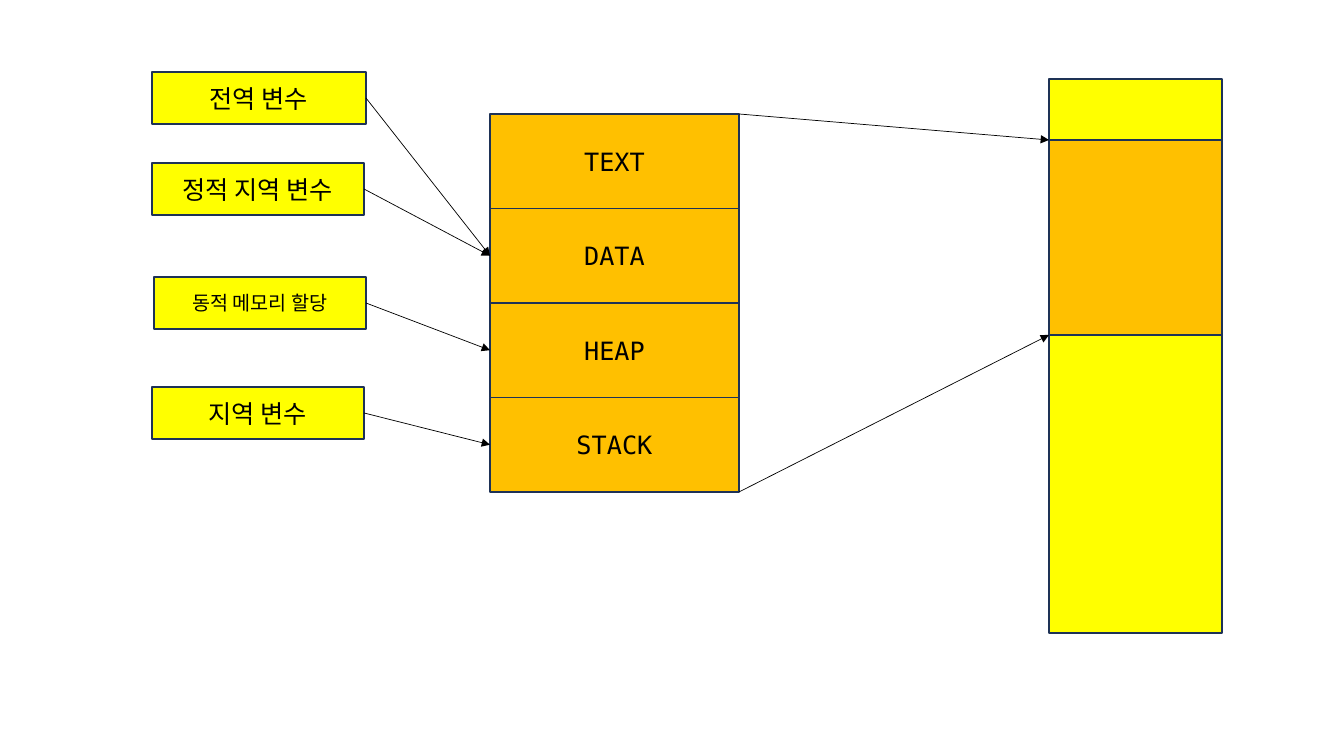
from lxml import etree
from pptx import Presentation, util as u
from pptx.dml.color import RGBColor
from pptx.enum import shapes, text
from pptx.oxml.ns import qn

PX = 914400 / 100.8
YELLOW, ORANGE, NAVY, BLACK = "FFFF00", "FFC000", "1E3256", "000000"

deck = Presentation()
deck.slide_width, deck.slide_height = u.Emu(round(1344 * PX)), u.Emu(round(756 * PX))
slide = deck.slides.add_slide(deck.slide_layouts[6])


def box(words, area, fill, size=18):
    """Draw an outlined box, with centred words if there are any."""
    shape = slide.shapes.add_shape(
        shapes.MSO_SHAPE.RECTANGLE, *[round(n * PX) for n in area])
    shape.shadow.inherit = False
    shape.fill.solid()
    shape.fill.fore_color.rgb = RGBColor.from_string(fill)
    shape.line.color.rgb = RGBColor.from_string(NAVY)
    shape.line.width = u.Pt(1)
    if words:
        frame = shape.text_frame
        frame.word_wrap = True
        frame.vertical_anchor = text.MSO_ANCHOR.MIDDLE
        para = frame.paragraphs[0]
        para.alignment = text.PP_ALIGN.CENTER
        run = para.add_run()
        run.text = words
        run.font.size = u.Pt(size)
        run.font.name = "DejaVu Sans Mono"
        run.font.color.rgb = RGBColor.from_string(BLACK)


def arrow(*ends):
    """Draw a thin arrow from x1, y1 to x2, y2."""
    line = slide.shapes.add_connector(
        shapes.MSO_CONNECTOR.STRAIGHT, *[round(n * PX) for n in ends])
    line.line.color.rgb = RGBColor.from_string(BLACK)
    line.line.width = u.Pt(0.5)
    etree.SubElement(line.line._get_or_add_ln(), qn("a:tailEnd"), type="triangle")
    etree.SubElement(line._element.spPr, qn("a:effectLst"))


# Main memory, with the part that the process takes
mem, start, end = 1049, 140, 335
box("", (mem, 79, 173, 554), YELLOW)
box("", (mem, start, 173, end - start), ORANGE)

# Segments of the process
left, top, wide, tall = 490, 114, 249, 94.5
names = ["TEXT", "DATA", "HEAP", "STACK"]
for i, name in enumerate(names):
    box(name, (left, top + i * tall, wide, tall), ORANGE)
arrow(left + wide, top, mem, start)
arrow(left + wide, top + len(names) * tall, mem, end)

# Kinds of variable, each pointing at its segment
kinds = [
    ("전역 변수", 152, 72, 214, 18, "DATA"),
    ("정적 지역 변수", 152, 163, 212, 18, "DATA"),
    ("동적 메모리 할당", 154, 277, 212, 14, "HEAP"),
    ("지역 변수", 152, 387, 212, 18, "STACK"),
]
for words, x, y, w, size, name in kinds:
    box(words, (x, y, w, 52), YELLOW, size)
    arrow(x + w, y + 26, left, top + (names.index(name) + 0.5) * tall)

deck.save("out.pptx")
